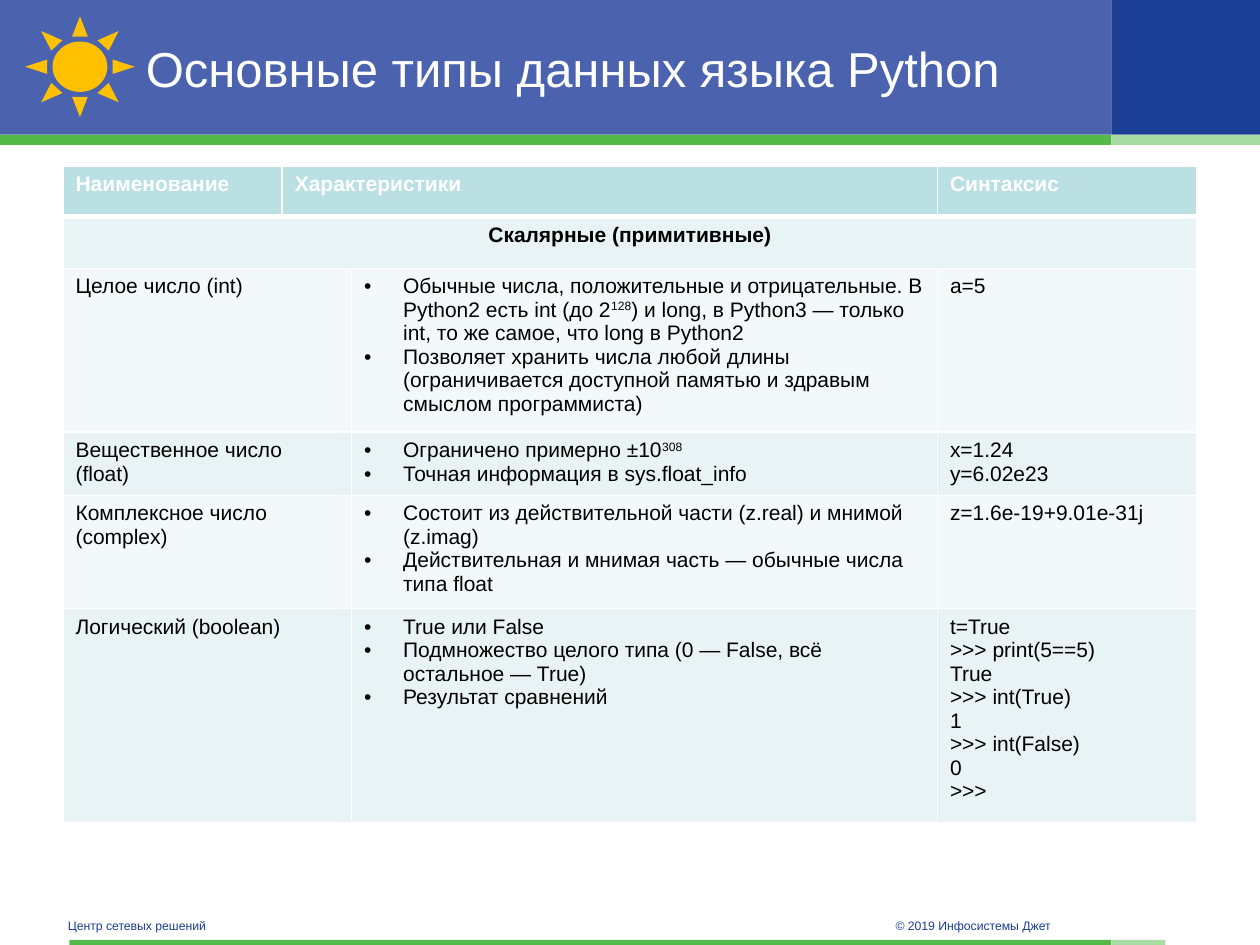
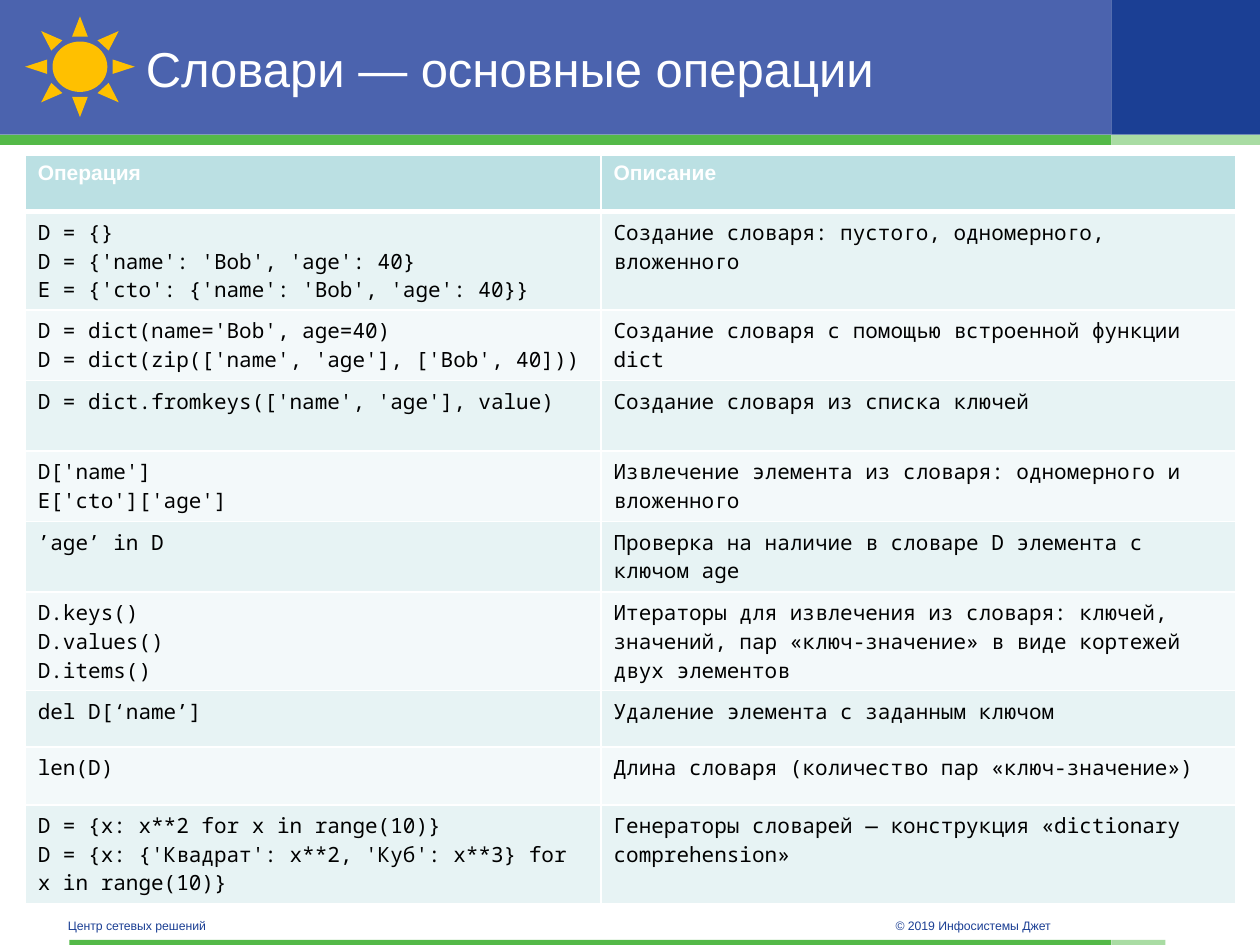
import pptx
import pptx.dml.color
import pptx.enum.shapes
import pptx.enum.text
import pptx.oxml.ns
import pptx.util
from lxml import etree

Inches = pptx.util.Inches
Pt = pptx.util.Pt
SHAPE = pptx.enum.shapes.MSO_SHAPE
ALIGN = pptx.enum.text.PP_ALIGN
qn = pptx.oxml.ns.qn

SLATE, NAVY, GREEN, LIGHT_GREEN = "4B63AE", "1B3F94", "54B948", "A9DCA3"
WHITE, BLACK, SUN = "FFFFFF", "000000", "FFC000"
HEADER_FILL, BAND_FILLS = "BBE0E3", ("E7F3F4", "F3F9FA")
SANS, MONO = "Arial", "Noto Sans Mono"
SPLIT = 8.82

TYPE_COLS = [1.74, 0.55, 4.65, 2.06]
TYPE_HEIGHTS = [0.4, 0.41, 1.22, 0.47, 0.85, 1.59]
TYPE_HEADER = ["Наименование", "Характеристики", "Синтаксис"]
TYPE_GROUP = "Скалярные (примитивные)"
TYPES = [
    ("Целое число (int)",
     ["Обычные числа, положительные и отрицательные. В Python2 есть int (до 2^128^) "
      "и long, в Python3 — только int, то же самое, что long в Python2",
      "Позволяет хранить числа любой длины (ограничивается доступной памятью "
      "и здравым смыслом программиста)"],
     ["a=5"]),
    ("Вещественное число (float)",
     ["Ограничено примерно ±10^308^", "Точная информация в sys.float_info"],
     ["x=1.24", "y=6.02e23"]),
    ("Комплексное число (complex)",
     ["Состоит из действительной части (z.real) и мнимой (z.imag)",
      "Действительная и мнимая часть — обычные числа типа float"],
     ["z=1.6e-19+9.01e-31j"]),
    ("Логический (boolean)",
     ["True или False",
      "Подмножество целого типа (0 — False, всё остальное — True)",
      "Результат сравнений"],
     ["t=True", ">>> print(5==5)", "True", ">>> int(True)", "1",
      ">>> int(False)", "0", ">>>"]),
]

DICT_COLS = [4.57, 5.04]
DICT_HEIGHTS = [0.45, 0.78, 0.56, 0.56, 0.56, 0.56, 0.78, 0.45, 0.46, 0.78]
DICT_HEADER = ["Операция", "Описание"]
DICT_OPERATIONS = [
    (["D = {}", "D = {'name': 'Bob', 'age': 40}",
      "E = {'cto': {'name': 'Bob', 'age': 40}}"],
     "Создание словаря: пустого, одномерного, вложенного"),
    (["D = dict(name='Bob', age=40)", "D = dict(zip(['name', 'age'], ['Bob', 40]))"],
     "Создание словаря с помощью встроенной функции dict"),
    (["D = dict.fromkeys(['name', 'age'], value)"],
     "Создание словаря из списка ключей"),
    (["D['name']", "E['cto']['age']"],
     "Извлечение элемента из словаря: одномерного и вложенного"),
    (["’age’ in D"], "Проверка на наличие в словаре D элемента с ключом age"),
    (["D.keys()", "D.values()", "D.items()"],
     "Итераторы для извлечения из словаря: ключей, значений, "
     "пар «ключ-значение» в виде кортежей двух элементов"),
    (["del D[‘name’]"], "Удаление элемента с заданным ключом"),
    (["len(D)"], "Длина словаря (количество пар «ключ-значение»)"),
    (["D = {x: x**2 for x in range(10)}",
      "D = {x: {'Квадрат': x**2, 'Куб': x**3} for x in range(10)}"],
     "Генераторы словарей — конструкция «dictionary comprehension»"),
]


def rgb(color):
    """Return the colour for a hex string."""
    return pptx.dml.color.RGBColor.from_string(color)


def add_bullet(p, indent=0.31):
    """Give a paragraph a hanging round bullet."""
    pPr = p._p.get_or_add_pPr()
    pPr.set("marL", str(Inches(indent)))
    pPr.set("indent", str(-Inches(indent)))
    etree.SubElement(pPr, qn("a:buFont")).set("typeface", SANS)
    etree.SubElement(pPr, qn("a:buChar")).set("char", "•")


def write_text(tf, text, size=12, color=BLACK, font=SANS, bold=False,
               align=ALIGN.LEFT, bullet=False):
    """Write a string or list of paragraphs, with ^...^ set as superscript."""
    lines = [text] if isinstance(text, str) else text
    for i, line in enumerate(lines):
        p = tf.add_paragraph() if i else tf.paragraphs[0]
        p.alignment = align
        if bullet:
            add_bullet(p)
        for j, part in enumerate(line.split("^")):
            if not part:
                continue
            r = p.add_run()
            r.text = part
            r.font.size, r.font.name, r.font.bold = Pt(size), font, bold
            r.font.color.rgb = rgb(color)
            if j % 2:
                r.font._element.set("baseline", "30000")


def add_block(slide, left, top, width, height, color, kind=SHAPE.RECTANGLE):
    """Add a filled shape without outline."""
    sp = slide.shapes.add_shape(kind, Inches(left), Inches(top),
                                Inches(width), Inches(height))
    sp.shadow.inherit = False
    sp.fill.solid()
    sp.fill.fore_color.rgb = rgb(color)
    sp.line.fill.background()


def add_label(slide, left, top, width, height, text, **text_format):
    """Add a vertically centred text box."""
    sp = slide.shapes.add_textbox(Inches(left), Inches(top),
                                  Inches(width), Inches(height))
    tf = sp.text_frame
    tf.word_wrap = True
    tf.vertical_anchor = pptx.enum.text.MSO_ANCHOR.MIDDLE
    tf.margin_top = tf.margin_bottom = 0
    write_text(tf, text, **text_format)


def add_frame(prs, title):
    """Add a slide with the shared bands, sun, title and footer."""
    slide = prs.slides.add_slide(prs.slide_layouts[6])
    add_block(slide, 0, 0, SPLIT, 1.07, SLATE)
    add_block(slide, SPLIT, 0, 10 - SPLIT, 1.07, NAVY)
    for left, right, top, height in ((0, 10, 1.07, 0.08), (0.55, 9.25, 7.46, 0.04)):
        add_block(slide, left, top, SPLIT - left, height, GREEN)
        add_block(slide, SPLIT, top, right - SPLIT, height, LIGHT_GREEN)
    add_label(slide, 0.44, 7.25, 3.3, 0.2, "Центр сетевых решений", size=7, color=NAVY)
    add_label(slide, 7.01, 7.25, 2.36, 0.2, "© 2019 Инфосистемы Джет", size=7, color=NAVY)
    add_label(slide, 1.06, 0.14, 7.56, 0.79, title, size=28, color=WHITE)
    add_block(slide, 0.2, 0.13, 0.87, 0.8, SUN, SHAPE.SUN)
    return slide


def style_cell(cell, fill, top=1, bottom=1):
    """Set the white borders and the fill of a cell."""
    tcPr = cell._tc.get_or_add_tcPr()
    for side, width in (("L", 1), ("R", 1), ("T", top), ("B", bottom)):
        ln = etree.SubElement(tcPr, qn("a:ln" + side), w=str(Pt(width)))
        solid = etree.SubElement(ln, qn("a:solidFill"))
        etree.SubElement(solid, qn("a:srgbClr")).set("val", WHITE)
    cell.fill.solid()
    cell.fill.fore_color.rgb = rgb(fill)


def add_grid(slide, left, top, widths, heights):
    """Add a table with a header row and banded body rows."""
    table = slide.shapes.add_table(len(heights), len(widths), Inches(left), Inches(top),
                                   Inches(sum(widths)), Inches(sum(heights))).table
    table.first_row = table.horz_banding = False
    for column, width in zip(table.columns, widths):
        column.width = Inches(width)
    for i, (row, height) in enumerate(zip(table.rows, heights)):
        row.height = Inches(height)
        fill = BAND_FILLS[(i - 1) % 2] if i else HEADER_FILL
        for cell in row.cells:
            style_cell(cell, fill, top=3 if i == 1 else 1, bottom=1 if i else 3)
    return table


def write_header(table, columns, names):
    """Write the header names into the given columns."""
    for column, name in zip(columns, names):
        write_text(table.cell(0, column).text_frame, name, color=WHITE, bold=True)


def add_types_slide(prs):
    """Add the slide on scalar data types."""
    slide = add_frame(prs, "Основные типы данных языка Python")
    table = add_grid(slide, 0.5, 1.32, TYPE_COLS, TYPE_HEIGHTS)
    table.cell(0, 1).merge(table.cell(0, 2))
    table.cell(1, 0).merge(table.cell(1, 3))
    write_header(table, (0, 1, 3), TYPE_HEADER)
    write_text(table.cell(1, 0).text_frame, TYPE_GROUP, bold=True, align=ALIGN.CENTER)
    for i, (name, features, syntax) in enumerate(TYPES, start=2):
        table.cell(i, 0).merge(table.cell(i, 1))
        write_text(table.cell(i, 0).text_frame, name)
        write_text(table.cell(i, 2).text_frame, features, bullet=True)
        write_text(table.cell(i, 3).text_frame, syntax)


def add_dict_slide(prs):
    """Add the slide on dictionary operations."""
    slide = add_frame(prs, "Словари — основные операции")
    table = add_grid(slide, 0.2, 1.23, DICT_COLS, DICT_HEIGHTS)
    write_header(table, (0, 1), DICT_HEADER)
    for i, row in enumerate(DICT_OPERATIONS, start=1):
        for j, text in enumerate(row):
            write_text(table.cell(i, j).text_frame, text, font=MONO)


def main():
    """Build and save the presentation."""
    prs = pptx.Presentation()
    prs.slide_width, prs.slide_height = Inches(10), Inches(7.5)
    add_types_slide(prs)
    add_dict_slide(prs)
    prs.save("out.pptx")


if __name__ == "__main__":
    main()
